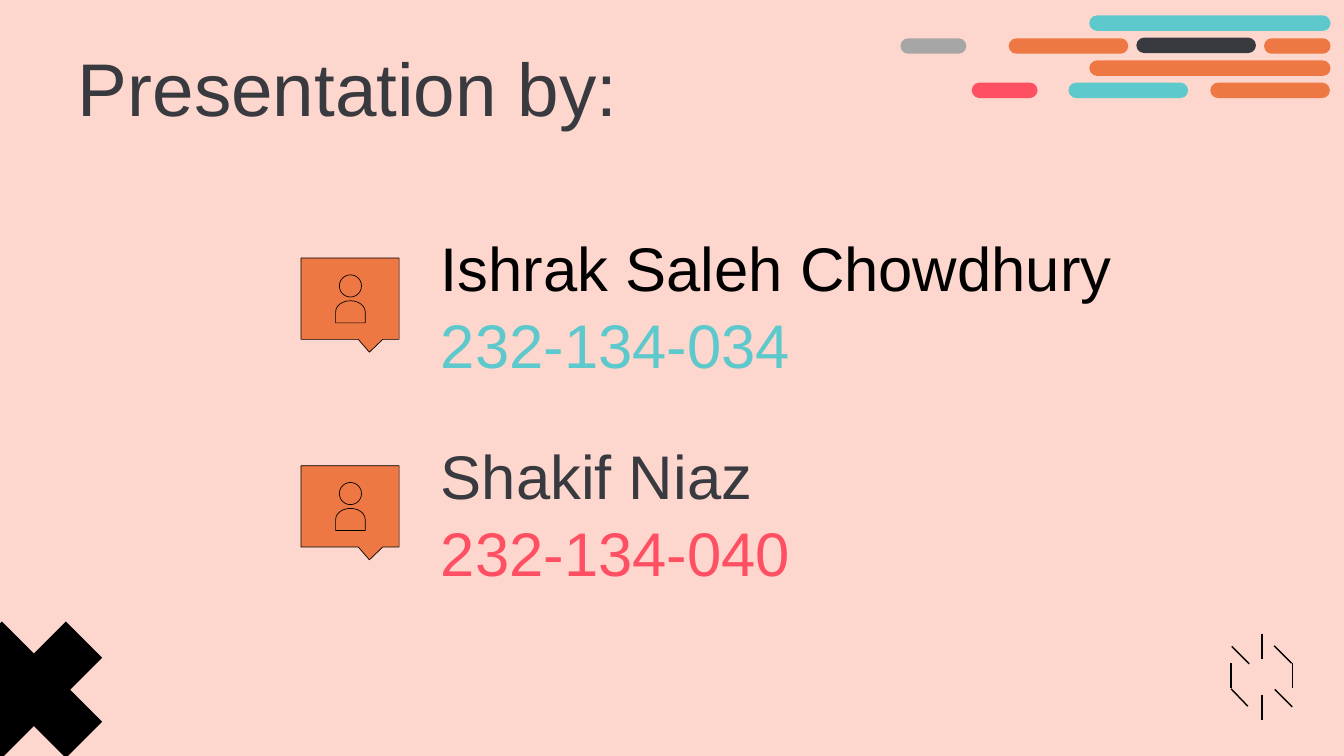
from lxml import etree
from pptx import Presentation
from pptx import util as u
from pptx.dml.color import RGBColor
from pptx.enum import shapes, text
from pptx.oxml.ns import qn

PINK = RGBColor(0xFD, 0xD7, 0xCD)
BLACK = RGBColor(0, 0, 0)
CHARCOAL = RGBColor(0x39, 0x3A, 0x3F)
ORANGE = RGBColor(0xED, 0x78, 0x43)
TEAL = RGBColor(0x5E, 0xC9, 0xCC)
RED = RGBColor(0xFF, 0x4F, 0x63)
GREY = RGBColor(0xA6, 0xA6, 0xA6)
FONT = "Arial"
KIND = shapes.MSO_SHAPE

BARS = [
    (16.21, 0.23, 3.59, TEAL),
    (13.4, 0.57, 0.98, GREY),
    (15.01, 0.57, 1.78, ORANGE),
    (16.91, 0.56, 1.78, CHARCOAL),
    (18.81, 0.57, 0.99, ORANGE),
    (16.21, 0.9, 3.59, ORANGE),
    (14.46, 1.23, 0.98, RED),
    (15.9, 1.23, 1.78, TEAL),
    (18.01, 1.23, 1.78, ORANGE),
]
BURST_RAYS = [
    (18.78, 9.43, 18.78, 9.8),
    (18.78, 10.34, 18.78, 10.71),
    (18.32, 10.24, 18.32, 9.87),
    (19.23, 10.24, 19.23, 9.87),
    (18.33, 9.62, 18.59, 9.88),
    (18.97, 10.26, 19.23, 10.52),
    (18.57, 10.51, 18.32, 10.25),
    (19.22, 9.87, 18.96, 9.61),
]
PRESENTERS = [
    ("Ishrak Saleh Chowdhury", BLACK, "232-134-034", TEAL, 10.7),
    ("Shakif Niaz", CHARCOAL, "232-134-040", RED, 8.59),
]
FIRST_TOP = 3.84
PRESENTER_STEP = 3.09


def add_filled_shape(parent, kind, box, fill, adjustments=(), outlined=False):
    """Add a preset shape with a plain fill and an optional thin black outline."""
    shape = parent.shapes.add_shape(kind, *map(u.Inches, box))
    shape.shadow.inherit = False
    shape.fill.solid()
    shape.fill.fore_color.rgb = fill
    for index, value in enumerate(adjustments):
        shape.adjustments[index] = value
    if outlined:
        shape.line.color.rgb = BLACK
        shape.line.width = u.Pt(0.75)
    else:
        shape.line.fill.background()
    return shape


def add_ray(parent, ends):
    """Add one black line of the burst."""
    ray = parent.shapes.add_connector(
        shapes.MSO_CONNECTOR.STRAIGHT, *map(u.Inches, ends))
    ray.line.color.rgb = BLACK
    ray.line.width = u.Pt(1.5)
    etree.SubElement(ray._element.spPr, qn("a:effectLst"))


def add_person_icon(slide, top):
    """Add a grouped speech bubble holding a person."""
    group = slide.shapes.add_group_shape()
    add_filled_shape(group, KIND.ROUNDED_RECTANGULAR_CALLOUT,
                     (4.48, top, 1.46, 1.21), ORANGE, (0.197, 0.658, 0), True)
    add_filled_shape(group, KIND.OVAL, (5.05, top + 0.25, 0.33, 0.33),
                     ORANGE, outlined=True)
    body = add_filled_shape(group, KIND.FLOWCHART_DELAY,
                            (5.05, top + 0.58, 0.33, 0.44), ORANGE, outlined=True)
    body.rotation = 270


def fill_placeholder(placeholder, box, lines, size, anchor, spacing):
    """Place a placeholder and write its coloured lines."""
    placeholder.left, placeholder.top, placeholder.width, placeholder.height = map(
        u.Inches, box)
    frame = placeholder.text_frame
    frame.word_wrap = True
    frame.auto_size = text.MSO_AUTO_SIZE.NONE
    frame.vertical_anchor = anchor
    frame.margin_left = frame.margin_right = u.Inches(0.2)
    frame.margin_top = frame.margin_bottom = u.Inches(0.2)
    frame.text = "\n".join(line for line, _ in lines)
    for paragraph, (_, colour) in zip(frame.paragraphs, lines):
        paragraph.alignment = text.PP_ALIGN.LEFT
        paragraph.line_spacing = spacing
        paragraph.space_before = u.Pt(0)
        paragraph.font.name = FONT
        paragraph.font.size = u.Pt(size)
        paragraph.font.color.rgb = colour


def remove_bullets(placeholder):
    """Replace the bullets of a list by a hanging indent."""
    for paragraph in placeholder.text_frame.paragraphs:
        properties = paragraph._p.get_or_add_pPr()
        properties.set("marL", str(u.Inches(0.5)))
        properties.set("indent", str(u.Inches(-0.35)))
        bullet = etree.Element(qn("a:buNone"))
        properties.find(qn("a:spcBef")).addnext(bullet)


def main():
    """Build the presenters slide."""
    presentation = Presentation()
    presentation.slide_width = u.Inches(20)
    presentation.slide_height = u.Inches(11.25)
    slide = presentation.slides.add_slide(
        presentation.slide_layouts.get_by_name("Two Content"))
    slide.background.fill.solid()
    slide.background.fill.fore_color.rgb = PINK

    cross = add_filled_shape(slide, KIND.CROSS, (-0.55, 9.21, 2.11, 2.11),
                             BLACK, (0.319,))
    cross.rotation = 45
    burst = slide.shapes.add_group_shape()
    for ends in BURST_RAYS:
        add_ray(burst, ends)

    title, *bodies = slide.placeholders
    fill_placeholder(title, (0.96, 0.32, 16.85, 1.25),
                     [("Presentation by:", CHARCOAL)], 80,
                     text.MSO_ANCHOR.TOP, 1.08)
    for index, (body, presenter) in enumerate(zip(bodies, PRESENTERS)):
        name, name_colour, number, number_colour, width = presenter
        top = FIRST_TOP + index * PRESENTER_STEP
        add_person_icon(slide, top)
        fill_placeholder(body, (6.21, top + 0.68, width, 1.35),
                         [(name, name_colour), (number, number_colour)], 66,
                         text.MSO_ANCHOR.BOTTOM, 1.04)
        remove_bullets(body)

    bars = slide.shapes.add_group_shape()
    for left, top, width, colour in BARS:
        add_filled_shape(bars, KIND.ROUNDED_RECTANGLE, (left, top, width, 0.23),
                         colour, (0.5,))
    presentation.save("out.pptx")


if __name__ == "__main__":
    main()
